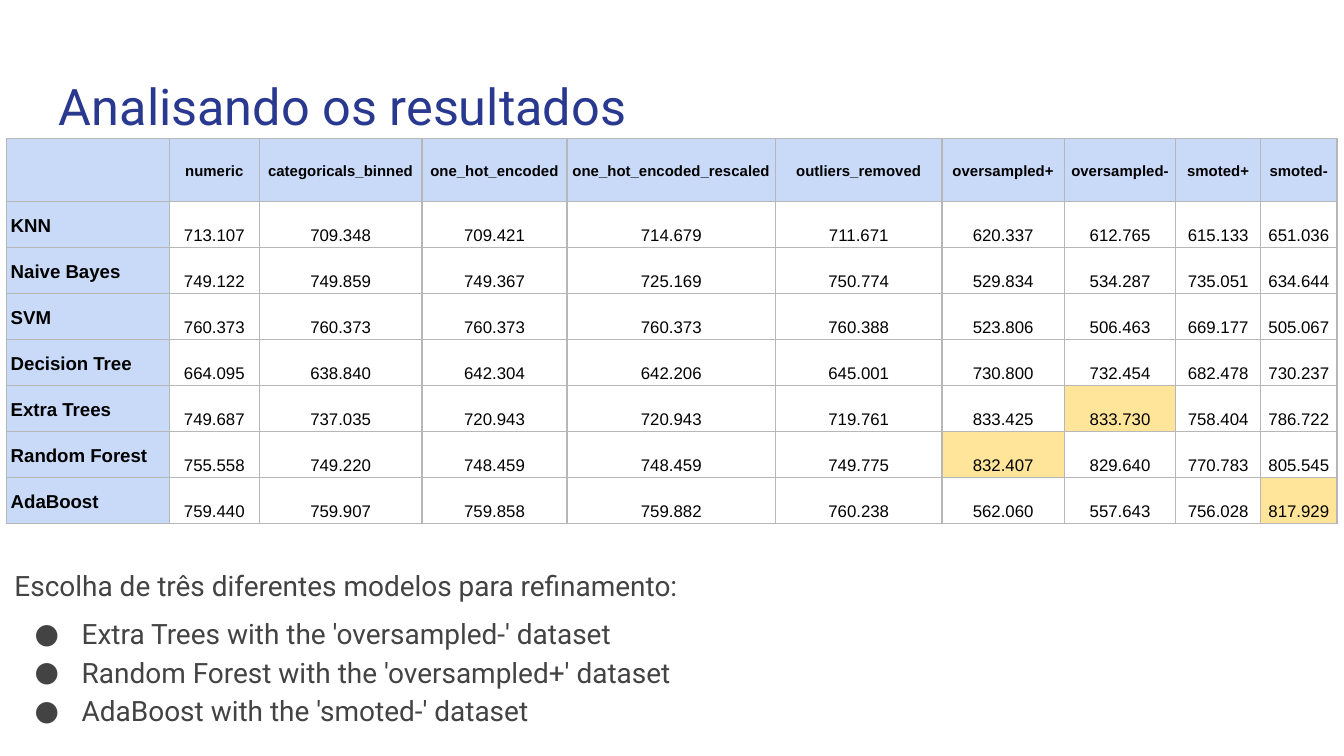
from lxml import etree
from pptx import Presentation, util as u
from pptx.dml.color import RGBColor
from pptx.enum import text
from pptx.oxml import ns

WIDTH = 10
HEIGHT = WIDTH * 9 / 16
HEADER_FILL, HIGHLIGHT, BORDER = "C9DAF8", "FFE599", "B7B7B7"
COLUMNS = [1.21, 0.67, 1.21, 1.08, 1.55, 1.24, 0.91, 0.83, 0.63, 0.57]
TABLE_HEIGHT, HEADER_HEIGHT = 2.87, 0.47
DATASETS = ["numeric", "categoricals_binned", "one_hot_encoded",
            "one_hot_encoded_rescaled", "outliers_removed",
            "oversampled+", "oversampled-", "smoted+", "smoted-"]
RESULTS = {
    "KNN": "713.107 709.348 709.421 714.679 711.671 620.337 612.765 615.133 651.036",
    "Naive Bayes": "749.122 749.859 749.367 725.169 750.774 529.834 534.287 735.051 634.644",
    "SVM": "760.373 760.373 760.373 760.373 760.388 523.806 506.463 669.177 505.067",
    "Decision Tree": "664.095 638.840 642.304 642.206 645.001 730.800 732.454 682.478 730.237",
    "Extra Trees": "749.687 737.035 720.943 720.943 719.761 833.425 833.730 758.404 786.722",
    "Random Forest": "755.558 749.220 748.459 748.459 749.775 832.407 829.640 770.783 805.545",
    "AdaBoost": "759.440 759.907 759.858 759.882 760.238 562.060 557.643 756.028 817.929",
}
CHOSEN = {"Extra Trees": "oversampled-", "Random Forest": "oversampled+",
          "AdaBoost": "smoted-"}

TITLE_FONT = {"name": "Roboto", "size": u.Pt(27), "bold": False}
BODY_FONT = {"name": "Roboto", "size": u.Pt(15), "bold": False}
HEADER_FONT = {"name": "Arial", "size": u.Pt(8), "bold": True}
LABEL_FONT = {"name": "Arial", "size": u.Pt(10), "bold": True}
VALUE_FONT = {"name": "Arial", "size": u.Pt(9), "bold": False}
MIDDLE = text.MSO_ANCHOR.MIDDLE
BOTTOM = text.MSO_ANCHOR.BOTTOM
CENTER, LEFT = text.PP_ALIGN.CENTER, text.PP_ALIGN.LEFT


def color(hex_value):
    return RGBColor.from_string(hex_value)


def apply(target, values):
    for name, value in values.items():
        setattr(target, name, value)


def write(paragraph, words, font, hex_value, **layout):
    run = paragraph.add_run()
    run.text = words
    apply(run.font, font)
    run.font.color.rgb = color(hex_value)
    apply(paragraph, layout)


def add_text_box(slide, left, top, width, height, anchor):
    """Place a wrapping text box by shares of the slide's size."""
    box = slide.shapes.add_textbox(
        u.Inches(left * WIDTH), u.Inches(top * HEIGHT),
        u.Inches(width * WIDTH), u.Inches(height * HEIGHT))
    margins = {f"margin_{side}": u.Inches(0.1)
               for side in ("left", "top", "right", "bottom")}
    apply(box.text_frame, {"word_wrap": True, "vertical_anchor": anchor, **margins})
    return box.text_frame


def add_bullet(paragraph, hex_value):
    properties = paragraph._p.get_or_add_pPr()
    properties.set("marL", str(u.Inches(0.5)))
    properties.set("indent", str(u.Inches(-0.35)))
    bullet_color = etree.SubElement(properties, ns.qn("a:buClr"))
    etree.SubElement(bullet_color, ns.qn("a:srgbClr"), val=hex_value)
    etree.SubElement(properties, ns.qn("a:buFont"), typeface=BODY_FONT["name"])
    etree.SubElement(properties, ns.qn("a:buChar"), char="●")


def add_borders(cell):
    properties = cell._tc.get_or_add_tcPr()
    for side in ("lnL", "lnR", "lnT", "lnB"):
        line = etree.SubElement(properties, ns.qn(f"a:{side}"), w=str(u.Pt(0.75)))
        fill = etree.SubElement(line, ns.qn("a:solidFill"))
        etree.SubElement(fill, ns.qn("a:srgbClr"), val=BORDER)


def fill_cell(cell, words, font, fill, anchor, alignment):
    apply(cell, {"margin_left": u.Inches(0.03), "margin_right": u.Inches(0.03),
                 "margin_top": u.Inches(0.02), "margin_bottom": u.Inches(0.02),
                 "vertical_anchor": anchor})
    add_borders(cell)
    cell.fill.solid()
    cell.fill.fore_color.rgb = color(fill)
    if words:
        write(cell.text_frame.paragraphs[0], words, font, "000000",
              alignment=alignment, line_spacing=1.15)


def add_results_table(slide):
    row_count = len(RESULTS) + 1
    table = slide.shapes.add_table(
        row_count, len(COLUMNS), u.Inches(0.05), u.Inches(1.03),
        u.Inches(sum(COLUMNS)), u.Inches(TABLE_HEIGHT)).table
    apply(table, {"first_row": False, "horz_banding": False})
    for column, width in zip(table.columns, COLUMNS):
        column.width = u.Inches(width)
    for row in table.rows:
        row.height = u.Inches((TABLE_HEIGHT - HEADER_HEIGHT) / len(RESULTS))
    table.rows[0].height = u.Inches(HEADER_HEIGHT)

    for column, name in enumerate(["", *DATASETS]):
        fill_cell(table.cell(0, column), name, HEADER_FONT, HEADER_FILL, MIDDLE, CENTER)
    for row, (model, scores) in enumerate(RESULTS.items(), start=1):
        fill_cell(table.cell(row, 0), model, LABEL_FONT, HEADER_FILL, MIDDLE, LEFT)
        for column, (dataset, score) in enumerate(zip(DATASETS, scores.split()), start=1):
            fill = HIGHLIGHT if CHOSEN.get(model) == dataset else "FFFFFF"
            fill_cell(table.cell(row, column), score, VALUE_FONT, fill, BOTTOM, CENTER)


def add_choices(slide):
    frame = add_text_box(slide, 0.001, 0.728, 0.926, 0.249, text.MSO_ANCHOR.TOP)
    write(frame.paragraphs[0], "Escolha de três diferentes modelos para refinamento:",
          BODY_FONT, "434343", line_spacing=1.15)
    for index, (model, dataset) in enumerate(CHOSEN.items()):
        paragraph = frame.add_paragraph()
        write(paragraph, f"{model} with the '{dataset}' dataset", BODY_FONT, "434343",
              line_spacing=1.15, space_before=u.Pt(0 if index else 5))
        add_bullet(paragraph, "434343")


def main():
    presentation = Presentation()
    apply(presentation, {"slide_width": u.Inches(WIDTH),
                         "slide_height": u.Inches(HEIGHT)})
    slide = presentation.slides.add_slide(presentation.slide_layouts[6])
    title = add_text_box(slide, 0.034, 0.08, 0.932, 0.117, BOTTOM)
    write(title.paragraphs[0], "Analisando os resultados", TITLE_FONT, "2A3990")
    add_results_table(slide)
    add_choices(slide)
    presentation.save("out.pptx")


if __name__ == "__main__":
    main()
